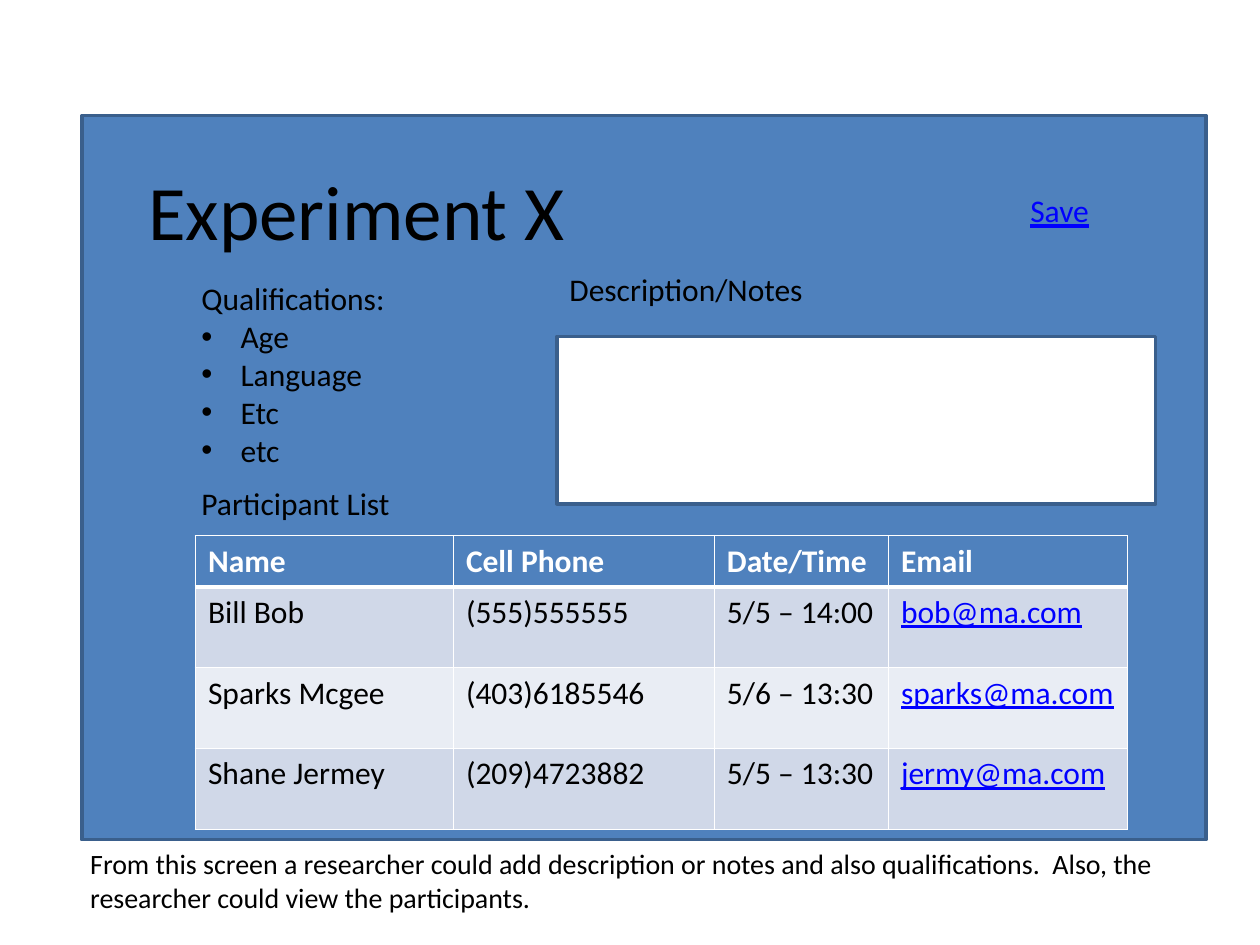
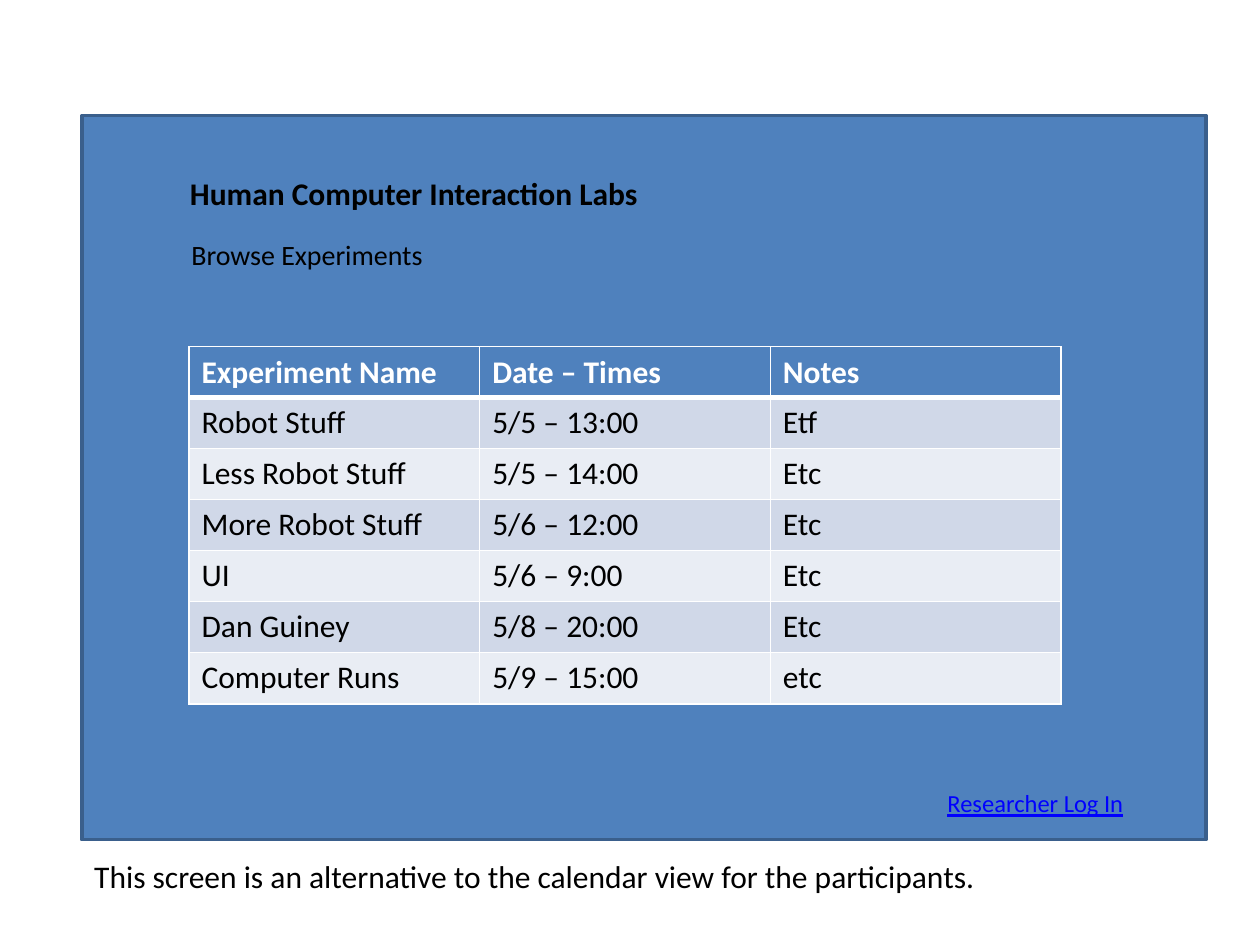
from dataclasses import dataclass

from lxml.etree import SubElement
from pptx import Presentation
from pptx.dml.color import RGBColor as Color
from pptx.enum.shapes import MSO_SHAPE as Shape
from pptx.enum.text import MSO_AUTO_SIZE as AutoSize, PP_ALIGN as Align
from pptx.oxml.ns import qn
from pptx.util import Cm, Pt


@dataclass(frozen=True)
class Theme:
    font: str = "Calibri"
    blue: str = "4F81BD"
    outline: str = "3A5F8C"
    white: str = "FFFFFF"
    black: str = "000000"
    link: str = "0000FF"
    bands: tuple = ("E9EDF4", "D0D8E8")
    title: int = 44
    body: int = 18
    small: int = 16
    login: int = 14
    thin_border: int = 1
    header_border: int = 3


theme = Theme()


def style_text(text_frame, size, color, bold=False):
    """Format every run; text in the link colour is underlined."""
    for paragraph in text_frame.paragraphs:
        paragraph.alignment = Align.LEFT
        for run in paragraph.runs:
            run.font.name = theme.font
            run.font.size = Pt(size)
            run.font.bold = bold
            run.font.underline = color == theme.link
            run.font.color.rgb = Color.from_string(color)


def add_border(cell, side, width):
    line = SubElement(cell._tc.get_or_add_tcPr(), qn(f"a:ln{side}"), w=str(Pt(width)))
    fill = SubElement(line, qn("a:solidFill"))
    SubElement(fill, qn("a:srgbClr"), val=theme.white)


presentation = Presentation()
presentation.slide_width = Cm(25.4)
presentation.slide_height = Cm(19.05)
blank = presentation.slide_layouts[6]
experiment = presentation.slides.add_slide(blank)
browse = presentation.slides.add_slide(blank)

# Screen frames and the notes field: slide, left, top, width, height, fill
screen = (1.65, 2.33, 22.66, 14.6, theme.blue)
notes_field = (11.23, 6.78, 12.07, 3.38, theme.white)
for slide, (*place, fill) in (
    (experiment, screen),
    (experiment, notes_field),
    (browse, screen),
):
    panel = slide.shapes.add_shape(Shape.RECTANGLE, *map(Cm, place))
    panel.shadow.inherit = False
    panel.fill.solid()
    panel.fill.fore_color.rgb = Color.from_string(fill)
    panel.line.color.rgb = Color.from_string(theme.outline)
    panel.line.width = Pt(2)

participants = [
    ("Name", "Cell Phone", "Date/Time", "Email"),
    ("Bill Bob", "(555)555555", "5/5 – 14:00", "bob@ma.com"),
    ("Sparks Mcgee", "(403)6185546", "5/6 – 13:30", "sparks@ma.com"),
    ("Shane Jermey", "(209)4723882", "5/5 – 13:30", "jermy@ma.com"),
]
experiments = [
    ("Experiment Name", "Date – Times", "Notes"),
    ("Robot Stuff", "5/5 – 13:00", "Etf"),
    ("Less Robot Stuff", "5/5 – 14:00", "Etc"),
    ("More Robot Stuff", "5/6 – 12:00", "Etc"),
    ("UI", "5/6 – 9:00", "Etc"),
    ("Dan Guiney", "5/8 – 20:00", "Etc"),
    ("Computer Runs", "5/9 – 15:00", "etc"),
]

# Tables: slide, left, top, column widths, header height, row height, rows
for slide, left, top, widths, header_height, row_height, rows in (
    (experiment, 3.94, 10.8, (5.2, 5.26, 3.51, 4.82), 0.94, 1.63, participants),
    (browse, 3.81, 6.99, (5.86,) * 3, 0.89, 1.03, experiments),
):
    heights = [header_height] + [row_height] * (len(rows) - 1)
    table = slide.shapes.add_table(
        len(rows), len(widths), Cm(left), Cm(top), Cm(sum(widths)), Cm(sum(heights))
    ).table
    for column, width in zip(table.columns, widths):
        column.width = Cm(width)
    for row_index, (values, height) in enumerate(zip(rows, heights)):
        table.rows[row_index].height = Cm(height)
        is_header = row_index == 0
        for column_index, value in enumerate(values):
            cell = table.cell(row_index, column_index)
            cell.text_frame.text = value
            if is_header:
                fill, color = theme.blue, theme.white
            else:
                fill = theme.bands[row_index % 2]
                color = theme.link if "@" in value else theme.black
            style_text(cell.text_frame, theme.body, color, bold=is_header)
            for side in "LRTB":
                under_header = (row_index, side) in ((0, "B"), (1, "T"))
                add_border(
                    cell, side, theme.header_border if under_header else theme.thin_border
                )
            cell.fill.solid()
            cell.fill.fore_color.rgb = Color.from_string(fill)

qualifications = "Qualifications:\nAge\nLanguage\nEtc\netc"
experiment_note = (
    "From this screen a researcher could add description or notes and also "
    "qualifications.  Also, the researcher could view the participants."
)
browse_note = "This screen is an alternative to the calendar view for the participants."

# Texts: slide, left, top, width, height, text, size, colour, bold
for slide, *place, text, size, color, bold in (
    (experiment, 2.74, 3.18, 15.44, 2.13, "Experiment X", theme.title, theme.black, False),
    (experiment, 3.81, 9.63, 5.08, 1.02, "Participant List", theme.body, theme.black, False),
    (experiment, 3.81, 5.51, 6.35, 4.11, qualifications, theme.body, theme.black, False),
    (experiment, 20.52, 3.73, 2.11, 1.02, "Save", theme.body, theme.link, False),
    (experiment, 11.23, 5.31, 11.86, 1.02, "Description/Notes", theme.body, theme.black, False),
    (experiment, 1.57, 16.94, 22.66, 1.63, experiment_note, theme.small, theme.black, False),
    (browse, 3.58, 3.38, 18.87, 1.02, "Human Computer Interaction Labs", theme.body, theme.black, True),
    (browse, 3.61, 4.67, 16.08, 0.94, "Browse Experiments", theme.small, theme.black, False),
    (browse, 18.85, 15.77, 4.65, 0.86, "Researcher Log In", theme.login, theme.link, False),
    (browse, 1.65, 17.15, 22.66, 1.02, browse_note, theme.body, theme.black, False),
):
    text_frame = slide.shapes.add_textbox(*map(Cm, place)).text_frame
    text_frame.word_wrap = True
    text_frame.auto_size = AutoSize.SHAPE_TO_FIT_TEXT
    text_frame.text = text
    style_text(text_frame, size, color, bold)
    for bullet in text_frame.paragraphs[1:]:
        properties = bullet._p.get_or_add_pPr()
        properties.set("marL", str(Cm(0.79)))
        properties.set("indent", str(Cm(-0.79)))
        SubElement(properties, qn("a:buFont"), typeface="Arial")
        SubElement(properties, qn("a:buChar"), char="•")

presentation.save("out.pptx")
